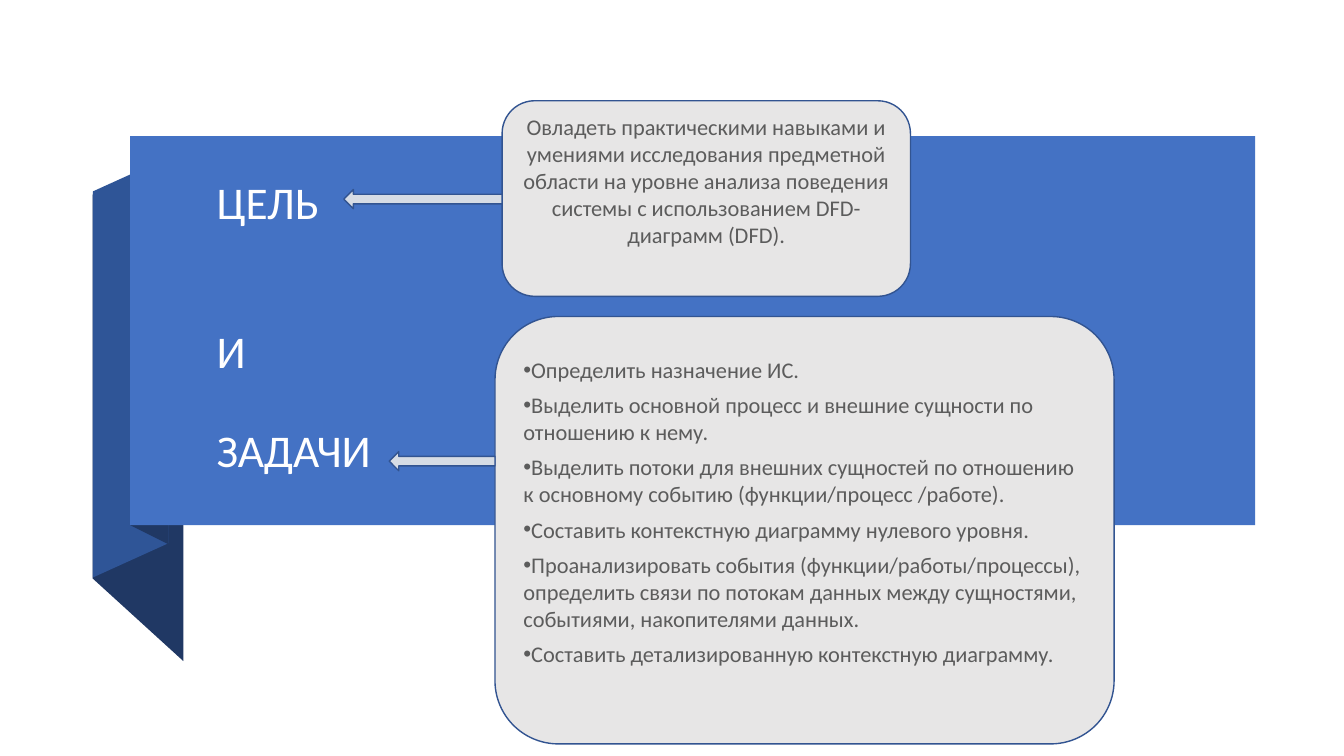
from lxml import etree
from pptx import Presentation
from pptx.dml.color import RGBColor
from pptx.enum.shapes import MSO_SHAPE
from pptx.enum.text import MSO_ANCHOR, PP_ALIGN
from pptx.oxml.ns import qn
from pptx.util import Inches, Pt

RECT, ROUNDED, LEFT_ARROW = MSO_SHAPE.RECTANGLE, MSO_SHAPE.ROUNDED_RECTANGLE, MSO_SHAPE.LEFT_ARROW
TOP, BOTTOM = MSO_ANCHOR.TOP, MSO_ANCHOR.BOTTOM
LEFT, CENTER = PP_ALIGN.LEFT, PP_ALIGN.CENTER

FONT = "Calibri"
COLORS = {
    "banner": "4472C4", "fold": "2F5597", "shade": "203864", "card": "E7E6E6",
    "outline": "325491", "arrow": "D6DCE5", "body": "5C5C5C", "title": "FFFFFF",
}

# Heading word and the space above it in points
HEADING = [("ЦЕЛЬ", 0), ("И", 71), ("ЗАДАЧИ", 35.5)]
GOAL = ["Овладеть практическими навыками и умениями исследования предметной области "
        "на уровне анализа поведения системы с использованием DFD-диаграмм (DFD)."]
TASKS = [
    "Определить назначение ИС.",
    "Выделить основной процесс и внешние сущности по отношению к нему.",
    "Выделить потоки для внешних сущностей по отношению к основному событию (функции/процесс /работе).",
    "Составить контекстную диаграмму нулевого уровня.",
    "Проанализировать события (функции/работы/процессы), определить связи по потокам данных "
    "между сущностями, событиями, накопителями данных.",
    "Составить детализированную контекстную диаграмму.",
]

# Ribbon parts from back to front
RIBBON = [
    ("shade", [(0.92, 5.74), (1.82, 6.56), (1.82, 2.76), (0.92, 1.93)]),
    ("fold", [(0.92, 5.73), (1.67, 5.39), (1.67, 1.56), (0.92, 1.9)]),
    ("shade", [(1.29, 5.21), (1.67, 5.4), (1.67, 1.55), (1.29, 1.36)]),
]
BANNER = (1.29, 1.35, 11.16, 3.86)
HEADING_BOX = (2.05, 1.63, 2.7, 3.15)
GOAL_CARD = (4.98, 1, 4.05, 1.94)
TASKS_CARD = (4.91, 3.14, 6.14, 4.24)
ARROW_HEIGHT = 0.19
# Tip position and the card the arrow starts from
ARROWS = [(3.41, 1.88, GOAL_CARD), (3.86, 4.48, TASKS_CARD)]


def rgb(key):
    return RGBColor.from_string(COLORS[key])


def paint(shape, fill, outline=None):
    shape.shadow.inherit = False
    shape.fill.solid()
    shape.fill.fore_color.rgb = rgb(fill)
    if outline:
        shape.line.color.rgb = rgb(outline)
        shape.line.width = Pt(1)
    else:
        shape.line.fill.background()


def add_block(slide, kind, box, fill, outline=None):
    block = slide.shapes.add_shape(kind, *map(Inches, box))
    paint(block, fill, outline)
    return block


def add_ribbon_part(slide, fill, corners):
    points = [(Inches(x), Inches(y)) for x, y in corners]
    builder = slide.shapes.build_freeform(*points[0])
    builder.add_line_segments(points[1:], close=True)
    paint(builder.convert_to_shape(), fill)


def style(paragraph, size, color, align):
    paragraph.alignment = align
    paragraph.font.name = FONT
    paragraph.font.size = Pt(size)
    paragraph.font.color.rgb = rgb(color)


def add_bullet(paragraph):
    properties = paragraph._p.get_or_add_pPr()
    properties.set("marL", "0")
    properties.set("indent", str(-Inches(0.25)))
    font = etree.SubElement(properties, qn("a:buFont"))
    font.set("typeface", "Arial")
    etree.SubElement(properties, qn("a:buChar")).set("char", "•")


def add_card(slide, box, corner, lines, align, top_margin, bulleted=False):
    card = add_block(slide, ROUNDED, box, "card", "outline")
    card.adjustments[0] = corner
    frame = card.text_frame
    frame.word_wrap = True
    frame.vertical_anchor = TOP
    frame.margin_top = Inches(top_margin)
    for i, line in enumerate(lines):
        paragraph = frame.paragraphs[0] if i == 0 else frame.add_paragraph()
        paragraph.text = line
        paragraph.space_after = Pt(6)
        if bulleted:
            add_bullet(paragraph)
        style(paragraph, 16, "body", align)


def add_heading(slide):
    frame = slide.shapes.add_textbox(*map(Inches, HEADING_BOX)).text_frame
    frame.word_wrap = True
    frame.vertical_anchor = BOTTOM
    for i, (word, gap) in enumerate(HEADING):
        paragraph = frame.paragraphs[0] if i == 0 else frame.add_paragraph()
        paragraph.text = word
        paragraph.line_spacing = 0.9
        paragraph.space_before = Pt(gap)
        style(paragraph, 32.4, "title", LEFT)


def main():
    deck = Presentation()
    deck.slide_width, deck.slide_height = Inches(13.33), Inches(7.5)
    slide = deck.slides.add_slide(deck.slide_layouts[6])

    for fill, corners in RIBBON:
        add_ribbon_part(slide, fill, corners)
    add_block(slide, RECT, BANNER, "banner")
    add_heading(slide)
    add_card(slide, GOAL_CARD, 0.167, GOAL, CENTER, 0.03)
    add_card(slide, TASKS_CARD, 0.148, TASKS, LEFT, 0.21, bulleted=True)
    for tip, top, card in ARROWS:
        add_block(slide, LEFT_ARROW, (tip, top, card[0] - tip, ARROW_HEIGHT), "arrow", "outline")

    deck.save("out.pptx")


if __name__ == "__main__":
    main()
